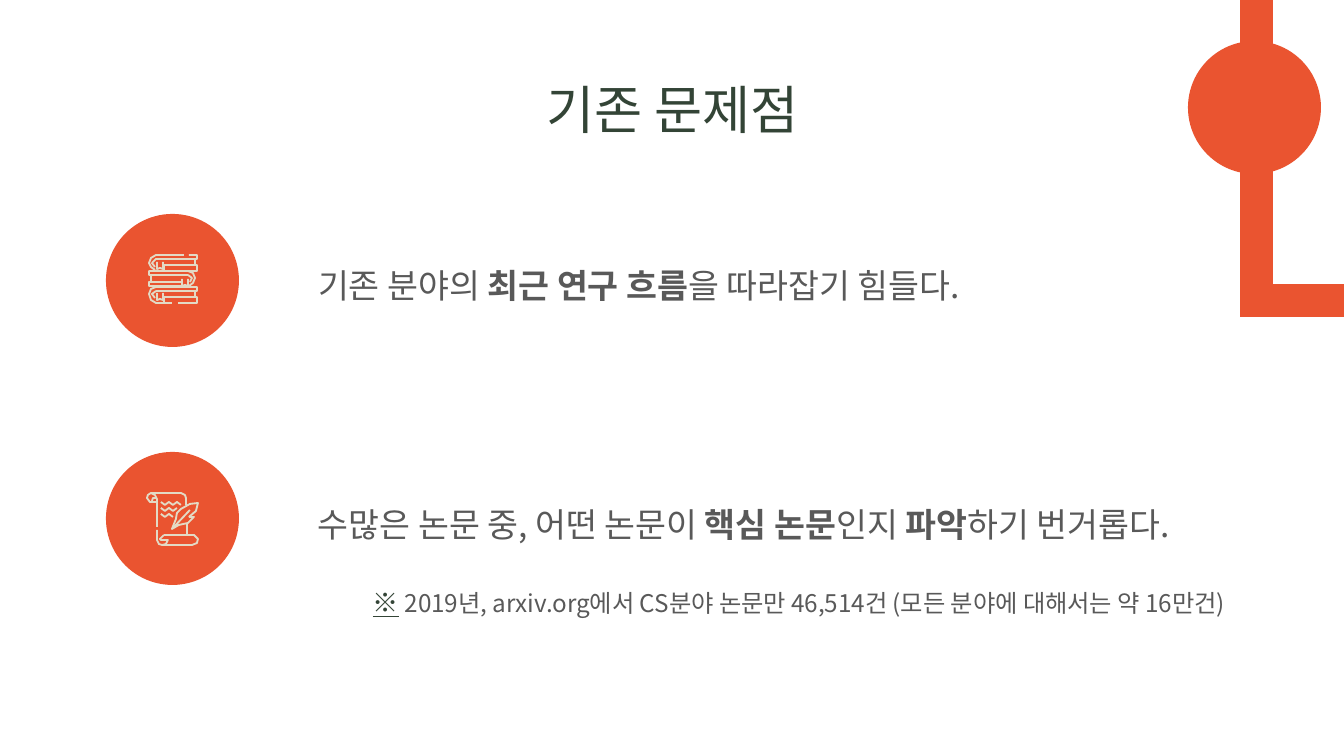
"""Build the slide on the problems of keeping up with research papers."""
import pptx
import pptx.dml.color
import pptx.enum.shapes
import pptx.enum.text
import pptx.util

ORANGE = pptx.dml.color.RGBColor(0xEA, 0x54, 0x30)
CREAM = pptx.dml.color.RGBColor(0xE3, 0xDA, 0xC5)
GREEN = pptx.dml.color.RGBColor(0x33, 0x44, 0x36)
GREY = pptx.dml.color.RGBColor(0x59, 0x59, 0x59)
BODY_FONT = "Noto Sans CJK KR"
PX = 914400 / 134.4
DISC = 133
DISC_LEFT = 106

TITLE = "기존 문제점"
PROBLEMS = [
    {
        "disc_top": 214,
        "box": (305, 246, 780, 85),
        "spans": [("기존 분야의 ", False), ("최근 연구 흐름", True), ("을 따라잡기 힘들다.", False)],
    },
    {
        "disc_top": 452,
        "box": (305, 485, 999, 66),
        "spans": [
            ("수많은 논문 중, 어떤 논문이 ", False),
            ("핵심 논문", True),
            ("인지 ", False),
            ("파악", True),
            ("하기 번거롭다.", False),
        ],
    },
]
NOTE_MARK = "※"
NOTE = " 2019년, arxiv.org에서 CS분야 논문만 46,514건 (모든 분야에 대해서는 약 16만건)"

RIBBONS = [
    [(x, y), (x, y + 7), (x + 3, y + 6), (x + 6, y + 7), (x + 6, y)]
    for x, y in ((9, 8), (34, 25), (9, 39))
]
SCROLL_STACK = RIBBONS + [
    [(36, 1), (8, 1), (3, 4), (1, 9), (3, 13), (7, 16)],
    [(41, 1), (49, 1), (49, 5), (8, 5), (4, 9), (7, 13)],
    [(47, 5), (47, 11)],
    [(16, 11), (49, 11), (49, 17), (16, 17), (16, 11)],
    [(40, 21), (1, 21), (1, 17), (40, 17), (45, 19), (47, 24), (45, 29), (41, 32)],
    [(40, 21), (44, 24), (42, 28)],
    [(3, 21), (3, 28)],
    [(33, 28), (1, 28), (1, 32), (33, 32)],
    [(24, 49), (8, 49), (3, 46), (1, 40), (3, 35), (8, 33), (49, 33), (49, 37), (8, 37)],
    [(8, 37), (4, 40), (7, 44)],
    [(47, 37), (47, 43)],
    [(30, 49), (49, 49), (49, 43), (16, 43), (16, 49)],
]
WAVES = [
    [(15 + 4 * step, y + 3 * (step % 2)) for step in range(count)]
    for y, count in ((10, 6), (16, 5), (22, 4))
]
SCROLL_AND_QUILL = WAVES + [
    [(11, 10), (4, 10), (1, 6), (2, 3), (5, 1), (35, 1), (39, 3), (40, 6), (40, 13)],
    [(5, 1), (9, 3), (11, 7), (11, 35)],
    [(6, 9), (7, 6), (11, 6)],
    [(11, 38), (11, 48), (13, 52), (16, 53), (46, 53), (51, 51), (52, 47), (48, 43), (18, 43)],
    [(18, 43), (14, 47), (15, 48), (22, 48), (20, 52), (16, 53)],
    [(41, 32), (41, 43)],
    [(26, 37), (30, 27), (31, 21), (35, 17), (44, 12), (52, 11), (50, 19), (43, 25)],
    [(43, 25), (48, 25), (42, 31), (33, 33), (26, 37), (44, 18)],
]
ICONS = [(148, 254, SCROLL_STACK), (146, 492, SCROLL_AND_QUILL)]


def px(length):
    return round(length * PX)


def add_solid(page, preset, left, top, width, height):
    shape = page.shapes.add_shape(preset, px(left), px(top), px(width), px(height))
    shape.shadow.inherit = False
    shape.fill.solid()
    shape.fill.fore_color.rgb = ORANGE
    shape.line.fill.background()
    return shape


def add_icon(page, left, top, strokes):
    builder = page.shapes.build_freeform(*strokes[0][0], scale=PX)
    for stroke in strokes:
        builder.move_to(*stroke[0])
        builder.add_line_segments(stroke[1:], close=False)
    icon = builder.convert_to_shape(px(left), px(top))
    icon.shadow.inherit = False
    icon.fill.background()
    icon.line.color.rgb = CREAM
    icon.line.width = pptx.util.Pt(1)


def add_para(page, left, top, width, height):
    box = page.shapes.add_textbox(px(left), px(top), px(width), px(height))
    frame = box.text_frame
    frame.word_wrap = True
    frame.margin_left = frame.margin_right = px(13)
    frame.margin_top = frame.margin_bottom = px(13)
    return frame, frame.paragraphs[0]


def set_font(font, name, size, color):
    font.name = name
    font.size = pptx.util.Pt(size)
    font.color.rgb = color


def main():
    deck = pptx.Presentation()
    deck.slide_width, deck.slide_height = px(1344), px(756)
    page = deck.slides.add_slide(deck.slide_layouts[6])
    presets = pptx.enum.shapes.MSO_SHAPE

    frame, para = add_para(page, 106, 66, 1133, 85)
    frame.vertical_anchor = pptx.enum.text.MSO_ANCHOR.MIDDLE
    para.alignment = pptx.enum.text.PP_ALIGN.CENTER
    para.add_run().text = TITLE
    set_font(para.font, "Arial", 28, GREEN)

    corner = add_solid(page, presets.FRAME, 1240, -272, 549, 589)
    corner.adjustments[0] = 0.06
    add_solid(page, presets.OVAL, 1188, 41, DISC, DISC)

    for problem in PROBLEMS:
        add_solid(page, presets.OVAL, DISC_LEFT, problem["disc_top"], DISC, DISC)
        frame, para = add_para(page, *problem["box"])
        para.line_spacing = 1.15
        para.space_after = pptx.util.Pt(12)
        for text, bold in problem["spans"]:
            span = para.add_run()
            span.text = text
            span.font.bold = bold
        set_font(para.font, BODY_FONT, 18, GREY)

    for left, top, strokes in ICONS:
        add_icon(page, left, top, strokes)

    frame, para = add_para(page, 360, 570, 961, 59)
    para.line_spacing = 1.1
    para.space_after = pptx.util.Pt(6)
    for text, size, color, underline in ((NOTE_MARK, 14, GREEN, True), (NOTE, 13, GREY, False)):
        span = para.add_run()
        span.text = text
        span.font.underline = underline
        set_font(span.font, BODY_FONT, size, color)

    deck.save("out.pptx")


if __name__ == "__main__":
    main()
